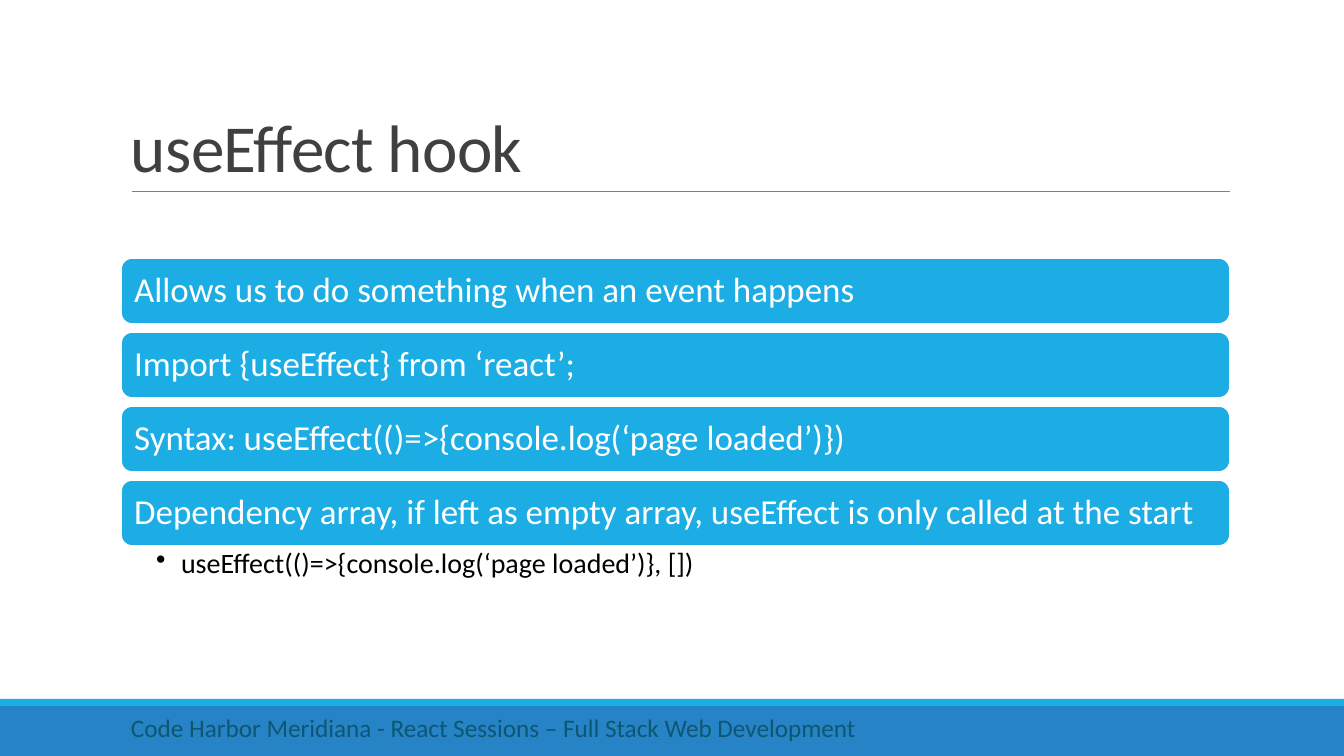
from pptx import Presentation
from pptx.dml.color import RGBColor
from pptx.enum.shapes import MSO_CONNECTOR, MSO_SHAPE as SHAPE
from pptx.enum.text import MSO_ANCHOR as ANCHOR, PP_ALIGN
from pptx.oxml.ns import qn
from pptx.util import Pt
from lxml.etree import SubElement

TITLE = "useEffect hook"
POINTS = [
    "Allows us to do something when an event happens",
    "Import {useEffect} from ‘react’;",
    "Syntax: useEffect(()=>{console.log(‘page loaded’)})",
    "Dependency array, if left as empty array, useEffect is only called at the start",
]
EXAMPLE = "useEffect(()=>{console.log(‘page loaded’)}, [])"
FOOTER = "Code Harbor Meridiana - React Sessions – Full Stack Web Development"

THEME = {
    "font": "Calibri",
    "accent": "1CADE4", "band": "2683C6", "rule": "808080", "edge": "FFFFFF",
    "title": {"size": 48, "color": "404040"},
    "point": {"size": 25, "color": "FFFFFF"},
    "example": {"size": 20, "color": "000000"},
    "footer": {"size": 18, "color": "0E5772"},
}

PX = 914400 / 100.8
SLIDE_W, SLIDE_H = 1344, 756
LEFT, WIDTH = 121, 1109
POINTS_TOP, POINT_H, POINT_GAP = 258, 66, 8
BAND_H, STRIPE_H = 50, 7


def px(*lengths):
    return [round(n * PX) for n in lengths]


def rgb(name):
    return RGBColor.from_string(THEME.get(name, name))


def write(sp, text, style, anchor=ANCHOR.TOP, insets=(10, 5, 10, 5), spacing=None):
    """Set the shape's text as one left-aligned paragraph; return it."""
    tf = sp.text_frame
    left, top, right, bottom = px(*insets)
    frame = {"word_wrap": True, "vertical_anchor": anchor,
             "margin_left": left, "margin_top": top,
             "margin_right": right, "margin_bottom": bottom}
    for name, value in frame.items():
        setattr(tf, name, value)
    p = tf.paragraphs[0]
    p.alignment = PP_ALIGN.LEFT
    p.line_spacing = spacing
    r = p.add_run()
    r.text = text
    r.font.name = THEME["font"]
    r.font.size = Pt(THEME[style]["size"])
    r.font.color.rgb = rgb(THEME[style]["color"])
    return p


def add_block(s, kind, box, fill, edge=None):
    sp = s.shapes.add_shape(kind, *px(*box))
    sp.shadow.inherit = False
    sp.fill.solid()
    sp.fill.fore_color.rgb = rgb(fill)
    if edge:
        sp.line.color.rgb = rgb(edge)
        sp.line.width = Pt(1.25)
    else:
        sp.line.fill.background()
    return sp


def add_rule(s, x1, x2, y):
    line = s.shapes.add_connector(MSO_CONNECTOR.STRAIGHT, *px(x1, y, x2, y))
    line.line.color.rgb = rgb("rule")
    line.line.width = Pt(0.5)
    SubElement(line._element.spPr, qn("a:effectLst"))


def add_bullet(p, indent):
    pPr = p._p.get_or_add_pPr()
    pPr.set("marL", str(indent))
    pPr.set("indent", str(-indent))
    SubElement(pPr, qn("a:buChar"), char="•")


def main():
    prs = Presentation()
    prs.slide_width, prs.slide_height = px(SLIDE_W, SLIDE_H)
    s = prs.slides.add_slide(prs.slide_layouts[6])

    band_top = SLIDE_H - BAND_H
    add_block(s, SHAPE.RECTANGLE, (0, band_top, SLIDE_W, BAND_H), "band")
    add_block(s, SHAPE.RECTANGLE, (0, band_top - STRIPE_H, SLIDE_W, STRIPE_H), "accent")
    add_rule(s, 132, 1230, 191)

    title = s.shapes.add_textbox(*px(LEFT, 31, WIDTH, 160))
    p = write(title, TITLE, "title", ANCHOR.BOTTOM, spacing=0.85)
    p.runs[0].font._element.set("spc", "-50")

    for i, point in enumerate(POINTS):
        top = POINTS_TOP + i * (POINT_H + POINT_GAP)
        sp = add_block(s, SHAPE.ROUNDED_RECTANGLE, (LEFT, top, WIDTH, POINT_H),
                       "accent", "edge")
        write(sp, point, "point", ANCHOR.MIDDLE, (10, 10, 10, 10), 0.9)

    example = s.shapes.add_textbox(*px(LEFT, top + POINT_H, WIDTH, 45))
    p = write(example, EXAMPLE, "example", insets=(35, 3, 19, 3), spacing=0.9)
    add_bullet(p, *px(25))

    footer = s.shapes.add_textbox(*px(LEFT, band_top + 1, 784, 40))
    write(footer, FOOTER, "footer")

    prs.save("out.pptx")


if __name__ == "__main__":
    main()
